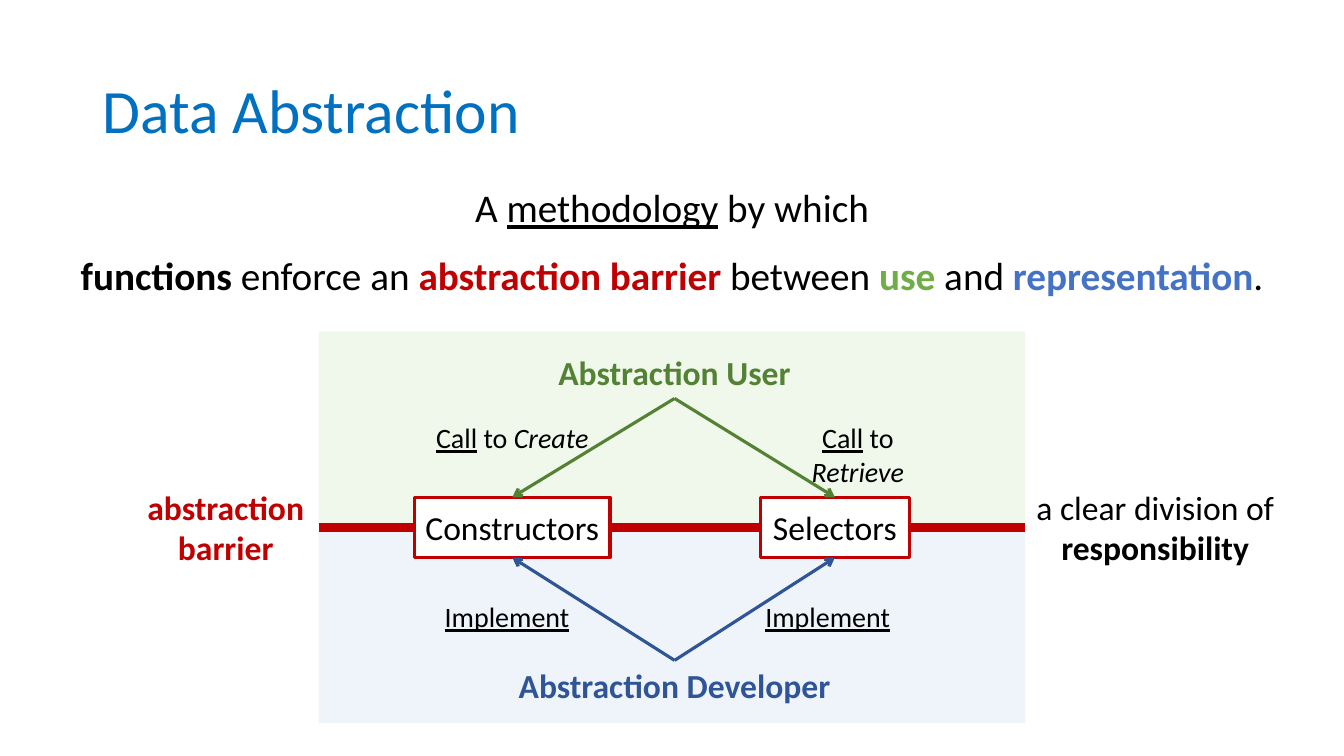
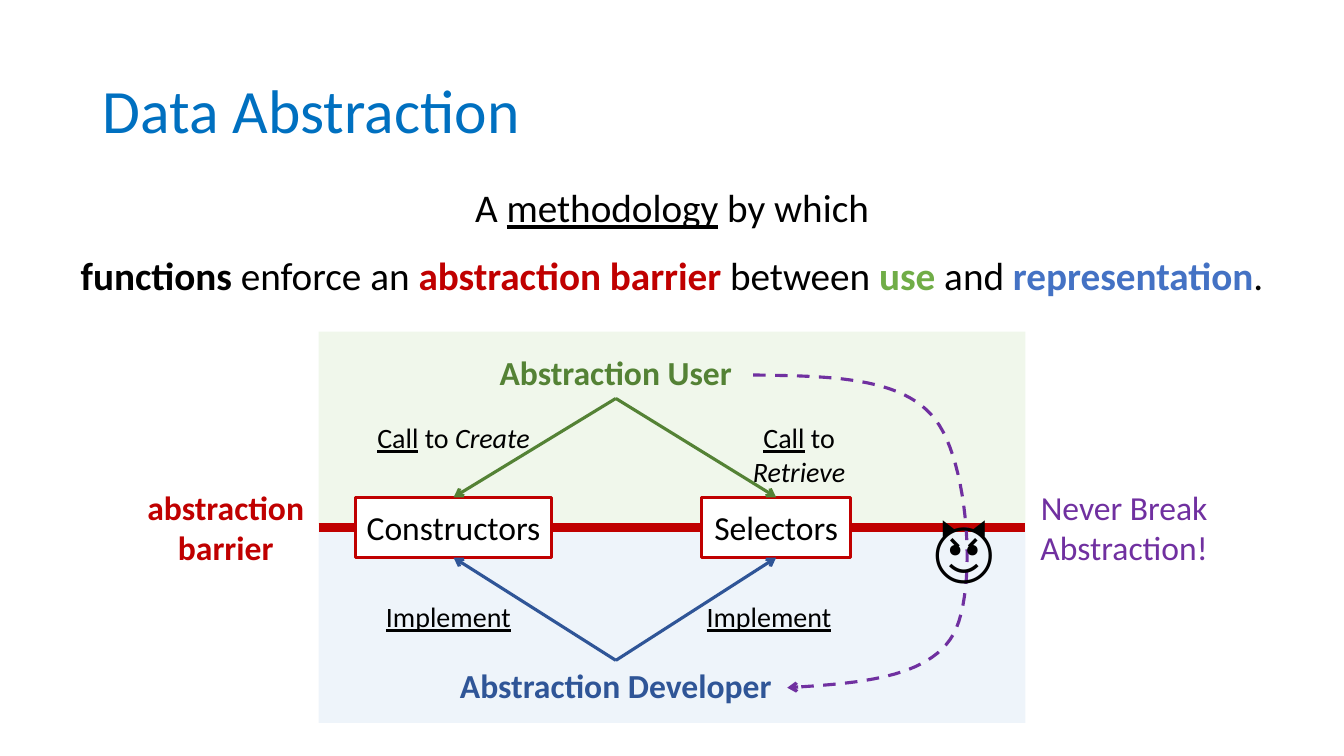
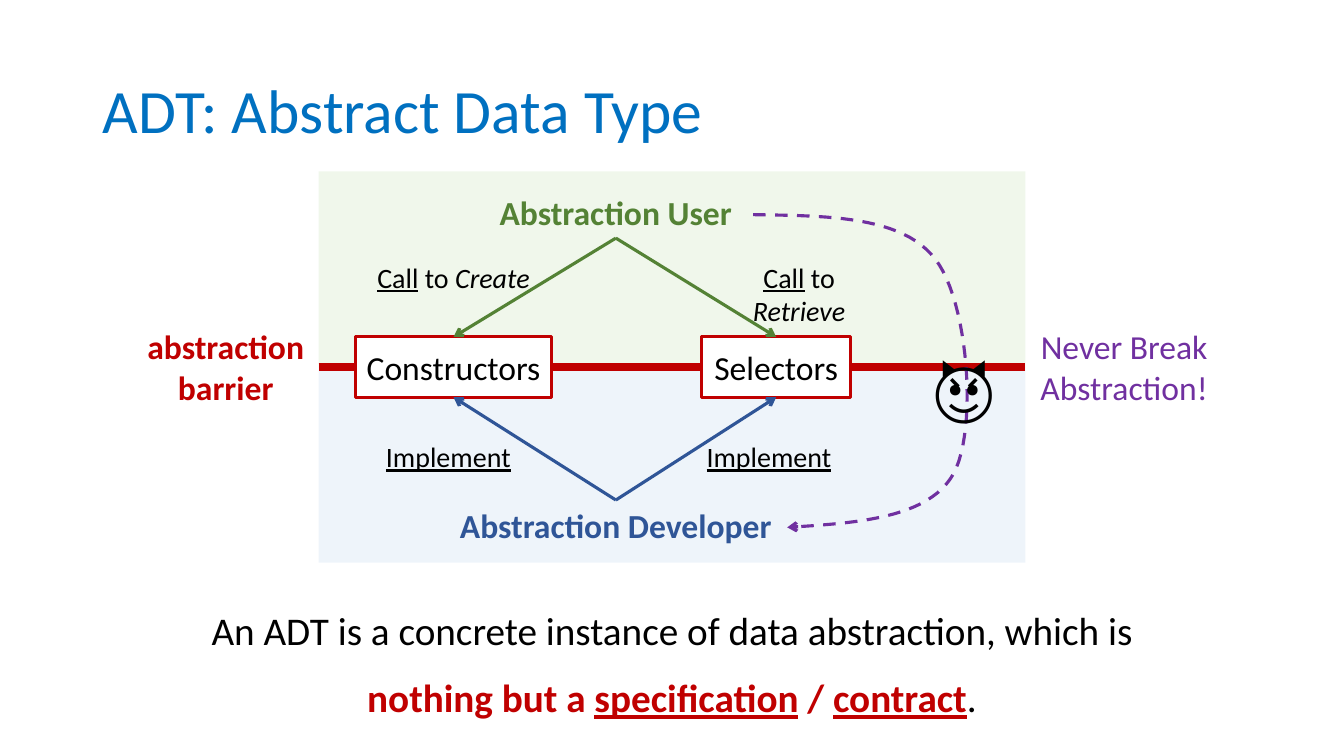
from dataclasses import dataclass

from pptx import Presentation
from pptx.dml.color import RGBColor
from pptx.enum.dml import MSO_LINE
from pptx.enum.shapes import MSO_CONNECTOR, MSO_SHAPE
from pptx.enum.text import MSO_ANCHOR, PP_ALIGN
from pptx.oxml.ns import qn
from pptx.util import Cm, Pt
from lxml.etree import SubElement


@dataclass(frozen=True)
class Theme:
    font: str = "Calibri"
    title_size: int = 44
    body_size: int = 28
    label_size: int = 24
    note_size: int = 20
    emoji_size: int = 48
    thin: float = 2.25
    thick: float = 6
    black: str = "000000"
    white: str = "FFFFFF"
    title: str = "0070C0"
    barrier: str = "C00000"
    user: str = "548235"
    developer: str = "2F5597"
    use: str = "70AD47"
    representation: str = "4472C4"
    warning: str = "7030A0"
    user_band: str = "E2F0D9"
    developer_band: str = "DEEBF7"


@dataclass(frozen=True)
class Span:
    text: str
    color: str | None = None
    bold: bool | None = None
    italic: bool | None = None
    underline: bool | None = None


THEME = Theme()
TITLE_BOX = (2.34, 1.02, 29.2, 3.68)
METHODOLOGY = (
    [Span("A "), Span("methodology", underline=True), Span(" by which")],
    [
        Span("functions", bold=True),
        Span(" enforce an "),
        Span("abstraction barrier ", THEME.barrier, bold=True),
        Span("between "),
        Span("use", THEME.use, bold=True),
        Span(" and "),
        Span("representation", THEME.representation, bold=True),
        Span("."),
    ],
)
CONTRACT = (
    [Span("An ADT is a concrete instance of data abstraction, which is")],
    [
        Span("nothing but a ", THEME.barrier, bold=True),
        Span("specification", THEME.barrier, bold=True, underline=True),
        Span(" / ", THEME.barrier, bold=True),
        Span("contract", THEME.barrier, bold=True, underline=True),
        Span("."),
    ],
)
BAND_WIDTH, BAND_HEIGHT = 17.81, 4.93
BYPASS_START = (10.95, 1.09)
BYPASS_CURVES = (
    ((12.83, 1.12), (14.71, 1.12), (15.54, 2.21)),
    ((16.38, 3.28), (16.61, 6.5), (16, 7.62)),
    ((15.37, 8.74), (13.59, 8.86), (11.81, 8.97)),
)


def rgb(value):
    return RGBColor.from_string(value)


def write(shape, paragraphs, size, color=THEME.black, bold=None, align=PP_ALIGN.CENTER,
          anchor=MSO_ANCHOR.TOP, wrap=False, line_spacing=None, space_before=0):
    frame = shape.text_frame
    frame.word_wrap = wrap
    frame.vertical_anchor = anchor
    for index, spans in enumerate(paragraphs):
        paragraph = frame.paragraphs[0] if index == 0 else frame.add_paragraph()
        paragraph.alignment = align
        if line_spacing:
            paragraph.line_spacing = line_spacing
        if index and space_before:
            paragraph.space_before = Pt(space_before)
        font = paragraph.font
        font.name, font.size, font.bold = THEME.font, Pt(size), bold
        font.color.rgb = rgb(color)
        for span in spans:
            run = paragraph.add_run()
            run.text = span.text
            if span.color:
                run.font.color.rgb = rgb(span.color)
            for style in ("bold", "italic", "underline"):
                if getattr(span, style):
                    setattr(run.font, style, True)


def add_text(slide, box, paragraphs, size, **options):
    shape = slide.shapes.add_textbox(*map(Cm, box))
    write(shape, paragraphs, size, **options)
    return shape


def add_rectangle(slide, box, fill, line=None, opacity=None):
    shape = slide.shapes.add_shape(MSO_SHAPE.RECTANGLE, *map(Cm, box))
    shape.shadow.inherit = False
    shape.fill.solid()
    shape.fill.fore_color.rgb = rgb(fill)
    if opacity:
        color = shape.fill._xPr.find(".//" + qn("a:srgbClr"))
        SubElement(color, qn("a:alpha"), val=str(opacity * 1000))
    if line:
        shape.line.color.rgb = rgb(line)
        shape.line.width = Pt(THEME.thin)
    else:
        shape.line.fill.background()
    return shape


def style_line(shape, color, width, dash=None, arrow=False):
    shape.line.color.rgb = rgb(color)
    shape.line.width = Pt(width)
    if dash:
        shape.line.dash_style = dash
    if arrow:
        SubElement(shape.line._get_or_add_ln(), qn("a:tailEnd"), type="arrow")


def add_line(slide, start, end, color, width, arrow=False):
    line = slide.shapes.add_connector(MSO_CONNECTOR.STRAIGHT, *map(Cm, (*start, *end)))
    style_line(line, color, width, arrow=arrow)
    SubElement(line._element.spPr, qn("a:effectLst"))
    return line


def add_arrow(slide, source, source_side, target, target_side, color):
    arrow = add_line(slide, (0, 0), (0, 0), color, THEME.thin, arrow=True)
    arrow.begin_connect(source, source_side)
    arrow.end_connect(target, target_side)


def add_title(slide, box, text):
    add_text(slide, box, [[Span(text)]], THEME.title_size, color=THEME.title,
             align=PP_ALIGN.LEFT, anchor=MSO_ANCHOR.MIDDLE, wrap=True, line_spacing=0.9)


def add_statement(slide, box, paragraphs, anchor=MSO_ANCHOR.TOP):
    add_text(slide, box, paragraphs, THEME.body_size, anchor=anchor, wrap=True,
             line_spacing=1.14, space_before=10)


def add_core(slide, center, top):
    def centered(offset, y, width, height):
        return center + offset - width / 2, top + y, width, height

    members = []
    for name, offset, width in (("Constructors", -4.09, 4.93), ("Selectors", 4.04, 3.76)):
        member = add_rectangle(slide, centered(offset, BAND_HEIGHT - 0.76, width, 1.52),
                               THEME.white, THEME.barrier)
        write(member, [[Span(name)]], THEME.label_size, anchor=MSO_ANCHOR.MIDDLE)
        members.append(member)

    roles = (
        ("Abstraction User", 0.38, 7.42, THEME.user, 2, 0),
        ("Abstraction Developer", 8.28, 8.43, THEME.developer, 0, 2),
    )
    for name, y, width, color, role_side, member_side in roles:
        role = add_text(slide, centered(0, y, width, 1.3), [[Span(name)]],
                        THEME.label_size, color=color, bold=True)
        for member in members:
            add_arrow(slide, role, role_side, member, member_side, color)

    call = [Span("Call", underline=True), Span(" to ")]
    implement = [Span("Implement", underline=True)]
    notes = (
        (call + [Span("Create", italic=True)], -4.09, 2.11),
        (call + [Span("Retrieve", italic=True)], 4.62, 2.11),
        (implement, -4.22, 6.63),
        (implement, 3.86, 6.63),
    )
    for spans, offset, y in notes:
        add_text(slide, centered(offset, y, 4.6, 1.12), [spans], THEME.note_size)


def bypass_points(steps=24):
    start = BYPASS_START
    for first, second, end in BYPASS_CURVES:
        for step in range(1, steps + 1):
            t = step / steps
            weights = ((1 - t) ** 3, 3 * t * (1 - t) ** 2, 3 * t * t * (1 - t), t ** 3)
            yield tuple(sum(weight * point[axis] for weight, point
                            in zip(weights, (start, first, second, end)))
                        for axis in (0, 1))
        start = end


def add_bypass(slide, left, top):
    def place(point):
        return Cm(left + point[0]), Cm(top + point[1])

    builder = slide.shapes.build_freeform(*place(BYPASS_START))
    builder.add_line_segments([place(point) for point in bypass_points()], close=False)
    curve = builder.convert_to_shape()
    curve.shadow.inherit = False
    curve.fill.background()
    style_line(curve, THEME.warning, THEME.thin, MSO_LINE.DASH, arrow=True)
    add_text(slide, (left + 15.24, top + 4.22, 2.24, 2.31), [[Span("😈")]],
             THEME.emoji_size, align=PP_ALIGN.LEFT)


def add_diagram(slide, left, top, bypass):
    barrier_y = top + BAND_HEIGHT
    for y, color in ((barrier_y, THEME.developer_band), (top, THEME.user_band)):
        add_rectangle(slide, (left, y, BAND_WIDTH, BAND_HEIGHT), color, opacity=50)
    add_line(slide, (left, barrier_y), (left + BAND_WIDTH, barrier_y),
             THEME.barrier, THEME.thick)
    add_core(slide, left + (7.49 if bypass else 8.97), top)

    side_top, side_height = top + 3.76, 2.31
    add_text(slide, (left - 4.6, side_top, 4.52, side_height),
             [[Span("abstraction")], [Span("barrier")]], THEME.label_size,
             color=THEME.barrier, bold=True, anchor=MSO_ANCHOR.MIDDLE)
    if bypass:
        add_bypass(slide, left, top)
        width, color = 4.78, THEME.warning
        lines = [[Span("Never Break")], [Span("Abstraction!")]]
    else:
        width, color = 6.55, THEME.black
        lines = [[Span("a clear division of")], [Span("responsibility", bold=True)]]
    gap = 0.1 if bypass else 0
    add_text(slide, (left + BAND_WIDTH + gap, side_top, width, side_height), lines,
             THEME.label_size, color=color, anchor=MSO_ANCHOR.MIDDLE)


def add_methodology_slide(slide, bypass):
    add_title(slide, TITLE_BOX, "Data Abstraction")
    add_statement(slide, (0, 4.34, 33.87, 3.8), METHODOLOGY)
    add_diagram(slide, 8.03, 8.36, bypass)


def add_contract_slide(slide):
    add_title(slide, TITLE_BOX, "ADT: Abstract Data Type")
    add_statement(slide, (0, 14.22, 33.87, 4.83), CONTRACT, MSO_ANCHOR.MIDDLE)
    add_diagram(slide, 8.03, 4.32, bypass=True)


def main():
    presentation = Presentation()
    presentation.slide_width, presentation.slide_height = Cm(33.87), Cm(19.05)
    blank = presentation.slide_layouts[6]
    for bypass in (False, True):
        add_methodology_slide(presentation.slides.add_slide(blank), bypass)
    add_contract_slide(presentation.slides.add_slide(blank))
    presentation.save("out.pptx")


if __name__ == "__main__":
    main()
